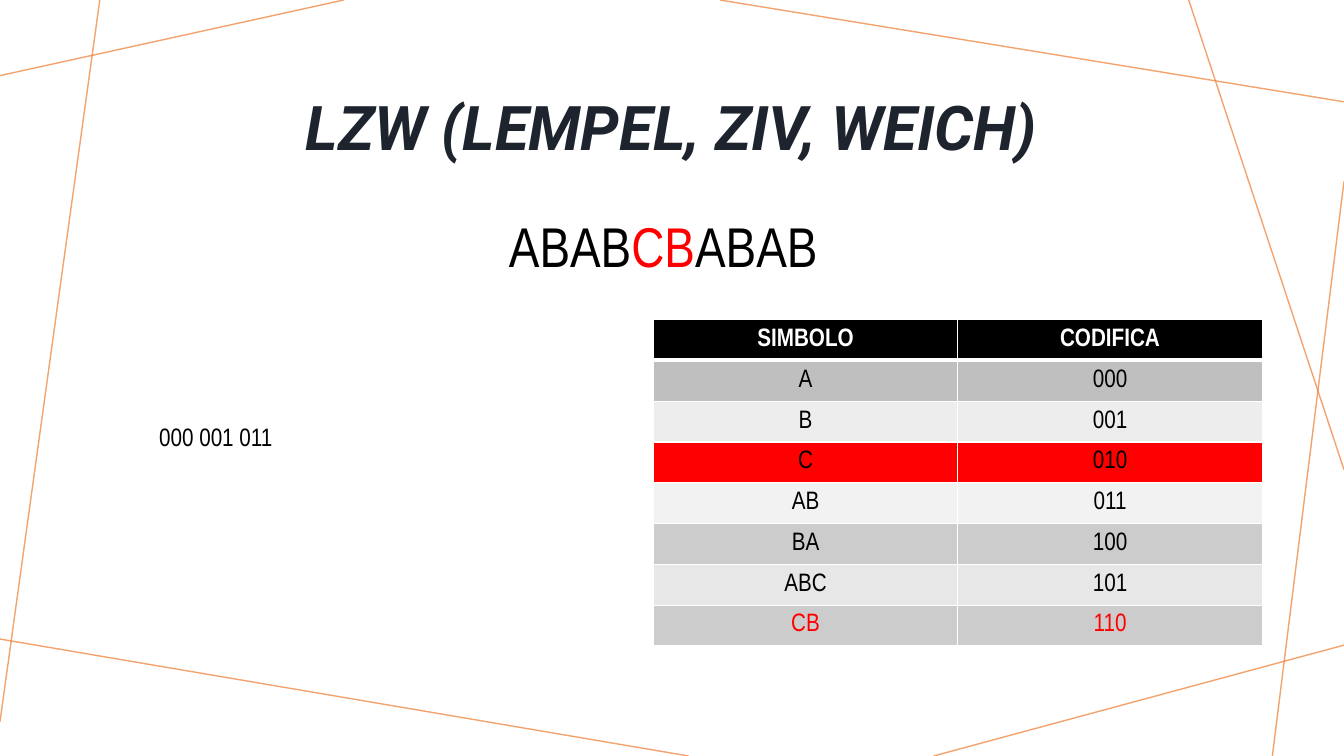
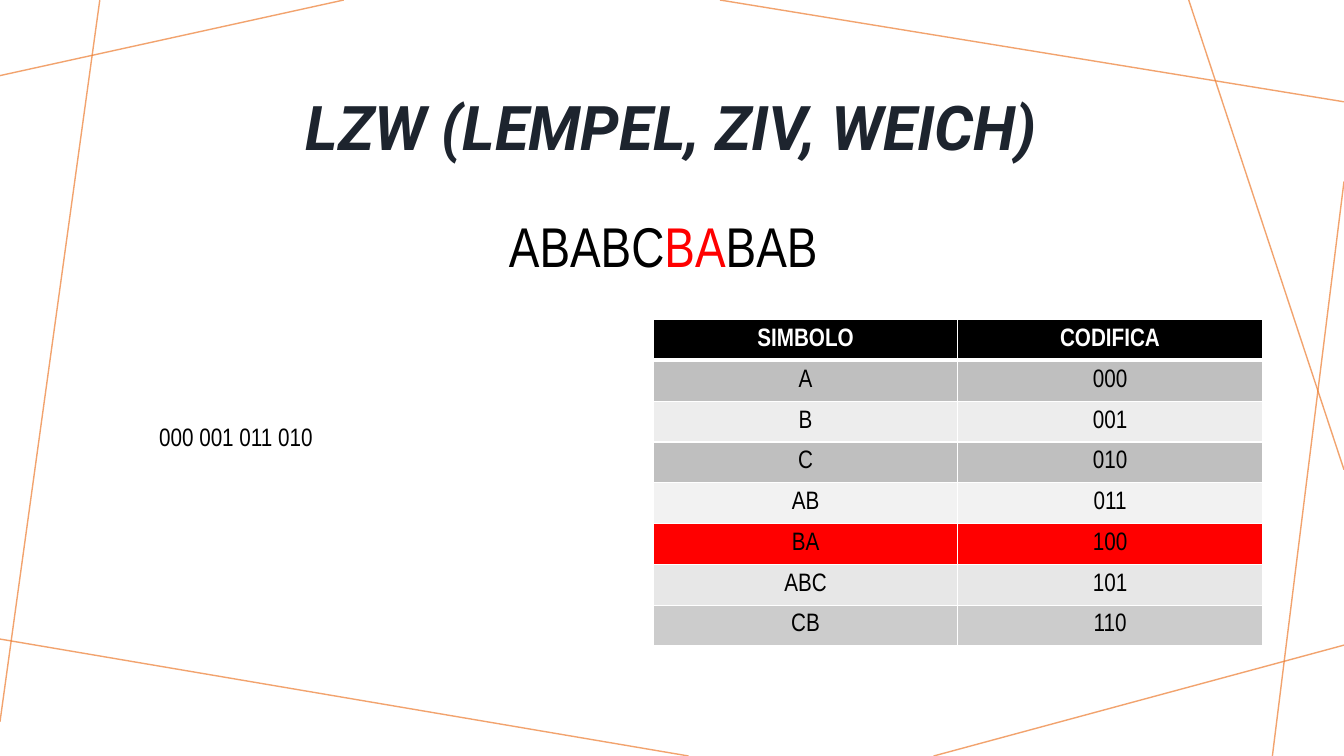
from lxml import etree
from pptx import Presentation
from pptx.dml.color import RGBColor
from pptx.enum.shapes import MSO_CONNECTOR
from pptx.enum.text import MSO_ANCHOR, MSO_AUTO_SIZE, PP_ALIGN
from pptx.oxml import parse_xml
from pptx.oxml.ns import nsdecls, qn
from pptx.util import Inches, Pt

STRAIGHT = MSO_CONNECTOR.STRAIGHT
CENTER, LEFT = PP_ALIGN.CENTER, PP_ALIGN.LEFT
MIDDLE = MSO_ANCHOR.MIDDLE
GROW = MSO_AUTO_SIZE.SHAPE_TO_FIT_TEXT

HUES = {
    "line": "ED7D31", "title": "1D242E", "text": "000000",
    "head": "000000", "light": "FFFFFF", "mark": "FF0000",
}
FILLS = ["BFBFBF", "EDEDED", "BFBFBF", "F2F2F2", "CCCCCC", "E7E7E7", "CCCCCC"]
FRAME = [
    (3.41, 0, 0, 0.75), (0.99, 0, 0, 7.16), (6.83, 7.5, 0, 6.34),
    (13.33, 6.4, 9.26, 7.5), (13.33, 1.8, 12.62, 7.5),
    (13.33, 4.66, 11.79, 0), (13.33, 1.01, 7.14, 0),
]
TITLE = "LZW (LEMPEL, ZIV, WEICH)"
HEADS = ("SIMBOLO", "CODIFICA")
WORDS = ["A", "B", "C", "AB", "BA", "ABC", "CB"]
CODES = [(word, f"{code:03b}") for code, word in enumerate(WORDS)]

# Text before, inside and after the red part; output; red row; new entry
STEPS = [
    (("ABAB", "CB", "ABAB"), "000 001 011", "C", "CB"),
    (("ABABC", "BA", "BAB"), "000 001 011 010", "BA", None),
]


class Deck:
    font = "Arial Narrow"

    def __init__(self):
        self.prs = Presentation()
        self.prs.slide_width = Inches(13.33)
        self.prs.slide_height = Inches(7.5)
        self.layout = self.prs.slide_layouts[5]
        self.slide = None

    def start(self):
        self.slide = self.prs.slides.add_slide(self.layout)

    def text(self, para, runs, size, align=LEFT, font=None, bold=False, slant=False):
        """Add (text, hue name) runs to a paragraph."""
        para.alignment = align
        for words, hue in runs:
            run = para.add_run()
            run.text = words
            run.font.name = font or self.font
            run.font.size = Pt(size)
            run.font.bold, run.font.italic = bold, slant
            run.font.color.rgb = RGBColor.from_string(HUES[hue])

    def frame(self):
        """Draw the thin lines and move them to the shared layout."""
        for num, ends in enumerate(FRAME, 100):
            line = self.slide.shapes.add_connector(STRAIGHT, *map(Inches, ends))
            line.line.width = Pt(1)
            line.line.color.rgb = RGBColor.from_string(HUES["line"])
            node = line.element
            color = next(node.iter(qn("a:srgbClr")))
            etree.SubElement(color, qn("a:alpha")).set("val", "70000")
            etree.SubElement(node.spPr, qn("a:effectLst"))
            next(node.iter(qn("p:cNvPr"))).set("id", str(num))
            self.layout.shapes.element.append(node)

    def title(self, words):
        shape = self.slide.shapes.title
        shape.left, shape.top = Inches(1.25), Inches(0.54)
        shape.width, shape.height = Inches(10.83), Inches(1.51)
        shape.text_frame.vertical_anchor = MIDDLE
        para = shape.text_frame.paragraphs[0]
        para.line_spacing = 0.9
        self.text(para, [(words, "title")], 44, CENTER, "Roboto", True, True)

    def label(self, runs, size, *spot):
        box = self.slide.shapes.add_textbox(*map(Inches, spot))
        box.text_frame.word_wrap = True
        box.text_frame.auto_size = GROW
        self.text(box.text_frame.paragraphs[0], runs, size)

    def cell(self, cell, words, hue, fill, bold):
        cell.fill.solid()
        cell.fill.fore_color.rgb = RGBColor.from_string(fill)
        cell.vertical_anchor = MIDDLE
        para = cell.text_frame.paragraphs[0]
        self.text(para, [(words, hue)], 18, CENTER, bold=bold)

    def border(self, props, row):
        """Add white cell borders, thicker between the header and the body."""
        sizes = {"L": 1, "R": 1, "T": 3 if row == 1 else 1, "B": 3 if row == 0 else 1}
        for spot, (side, size) in enumerate(sizes.items()):
            props.insert(spot, parse_xml(
                f'<a:ln{side} {nsdecls("a")} w="{Pt(size)}"><a:solidFill>'
                f'<a:srgbClr val="{HUES["light"]}"/></a:solidFill></a:ln{side}>'))

    def table(self, active, fresh):
        rows = [HEADS] + CODES
        shape = self.slide.shapes.add_table(
            len(rows), len(HEADS), *map(Inches, (6.48, 3.17, 6.04, 3.24)))
        grid = shape.table
        grid.first_row = grid.horz_banding = False
        for row, pair in enumerate(rows):
            head = row == 0
            fill = HUES["head"] if head else FILLS[row - 1]
            hue = "light" if head else "text"
            if pair[0] == active:
                fill = HUES["mark"]
            if pair[0] == fresh:
                hue = "mark"
            for col, words in enumerate(pair):
                self.cell(grid.cell(row, col), words, hue, fill, head)
        for num, props in enumerate(list(shape.element.iter(qn("a:tcPr")))):
            self.border(props, num // len(HEADS))


def main():
    deck = Deck()
    for num, (parts, code, active, fresh) in enumerate(STEPS):
        deck.start()
        if num == 0:
            deck.frame()
        deck.title(TITLE)
        deck.label(zip(parts, ("text", "mark", "text")), 40, 4.95, 2.05, 3.44, 0.77)
        deck.table(active, fresh)
        deck.label([(code, "text")], 18, 1.48, 4.13, 5, 0.4)
    deck.prs.save("out.pptx")


if __name__ == "__main__":
    main()
